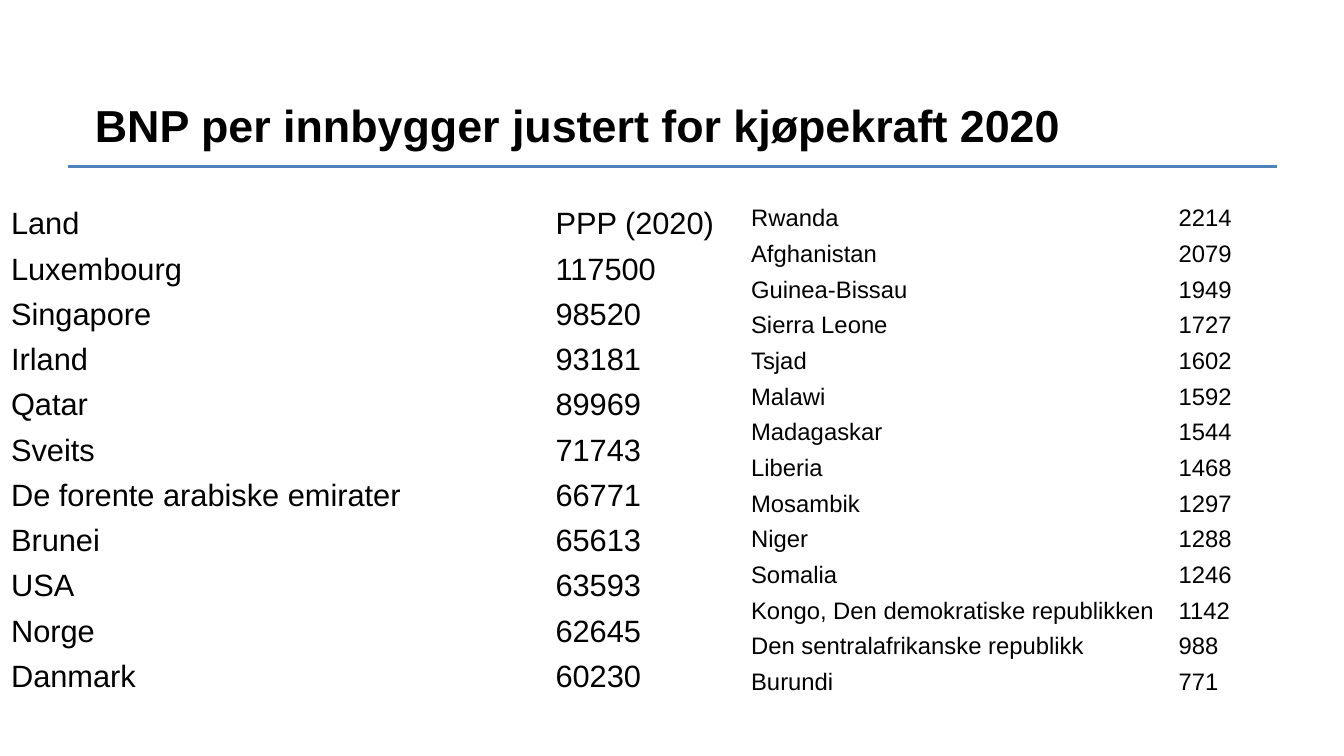
from dataclasses import dataclass

from lxml import etree
from pptx import Presentation
from pptx import util as u
from pptx.dml import color
from pptx.enum import shapes, text
from pptx.oxml import ns

FONT = "Arial"
BLACK = "000000"
BLUE = "4F81BD"
NO_STYLE = "{2D5ABB26-0587-4C30-8999-92F81FD0307C}"


@dataclass
class CountryTable:
    left: float
    top: float
    width: float
    height: float
    size: int
    side_margin: float
    rows: list[tuple[str, str]]


RICHEST = CountryTable(0.02, 2, 10.8, 4.94, 22, 0.09, [
    ("Land", "PPP (2020)"),
    ("Luxembourg", "117500"),
    ("Singapore", "98520"),
    ("Irland", "93181"),
    ("Qatar", "89969"),
    ("Sveits", "71743"),
    ("De forente arabiske emirater", "66771"),
    ("Brunei", "65613"),
    ("USA", "63593"),
    ("Norge", "62645"),
    ("Danmark", "60230"),
])

POOREST = CountryTable(7.38, 1.99, 8.48, 4.96, 17, 0.07, [
    ("Rwanda", "2214"),
    ("Afghanistan", "2079"),
    ("Guinea-Bissau", "1949"),
    ("Sierra Leone", "1727"),
    ("Tsjad", "1602"),
    ("Malawi", "1592"),
    ("Madagaskar", "1544"),
    ("Liberia", "1468"),
    ("Mosambik", "1297"),
    ("Niger", "1288"),
    ("Somalia", "1246"),
    ("Kongo, Den demokratiske republikken", "1142"),
    ("Den sentralafrikanske republikk", "988"),
    ("Burundi", "771"),
])


def rgb(value: str) -> color.RGBColor:
    return color.RGBColor.from_string(value)


def add_run(paragraph, words: str, size: int, bold: bool) -> None:
    paragraph.alignment = text.PP_ALIGN.LEFT
    run = paragraph.add_run()
    run.text = words
    run.font.name = FONT
    run.font.size = u.Pt(size)
    run.font.bold = bold
    run.font.color.rgb = rgb(BLACK)


def add_rule(slide) -> None:
    rule = slide.shapes.add_connector(
        shapes.MSO_CONNECTOR.STRAIGHT,
        u.Inches(0.67), u.Inches(1.65), u.Inches(12.67), u.Inches(1.65))
    rule.line.color.rgb = rgb(BLUE)
    rule.line.width = u.Pt(2)
    etree.SubElement(rule._element.spPr, ns.qn("a:effectLst"))


def format_title(slide, words: str) -> None:
    title = slide.shapes.title
    title.left, title.top = u.Inches(0.84), u.Inches(0.88)
    title.width, title.height = u.Inches(9.85), u.Inches(0.94)
    frame = title.text_frame
    frame.word_wrap = True
    frame.auto_size = text.MSO_AUTO_SIZE.NONE
    frame.vertical_anchor = text.MSO_ANCHOR.TOP
    frame.margin_top = u.Inches(0.09)
    add_run(frame.paragraphs[0], words, 32, True)


def add_country_table(slide, spec_table: CountryTable) -> None:
    graphic = slide.shapes.add_table(
        len(spec_table.rows), 2,
        u.Inches(spec_table.left), u.Inches(spec_table.top),
        u.Inches(spec_table.width), u.Inches(spec_table.height))
    table = graphic.table
    table.first_row = False
    table.horz_banding = False
    table._tbl.tblPr.find(ns.qn("a:tableStyleId")).text = NO_STYLE
    for row, values in zip(table.rows, spec_table.rows):
        for cell, value in zip(row.cells, values):
            cell.fill.background()
            cell.vertical_anchor = text.MSO_ANCHOR.MIDDLE
            cell.margin_left = cell.margin_right = u.Inches(spec_table.side_margin)
            cell.margin_top = cell.margin_bottom = u.Inches(0.04)
            add_run(cell.text_frame.paragraphs[0], value, spec_table.size, False)


def main() -> None:
    presentation = Presentation()
    presentation.slide_width = u.Inches(13.33)
    presentation.slide_height = u.Inches(7.5)
    slide = presentation.slides.add_slide(presentation.slide_layouts[5])
    format_title(slide, "BNP per innbygger justert for kjøpekraft 2020")
    add_rule(slide)
    for country_table in (RICHEST, POOREST):
        add_country_table(slide, country_table)
    presentation.save("out.pptx")


if __name__ == "__main__":
    main()
